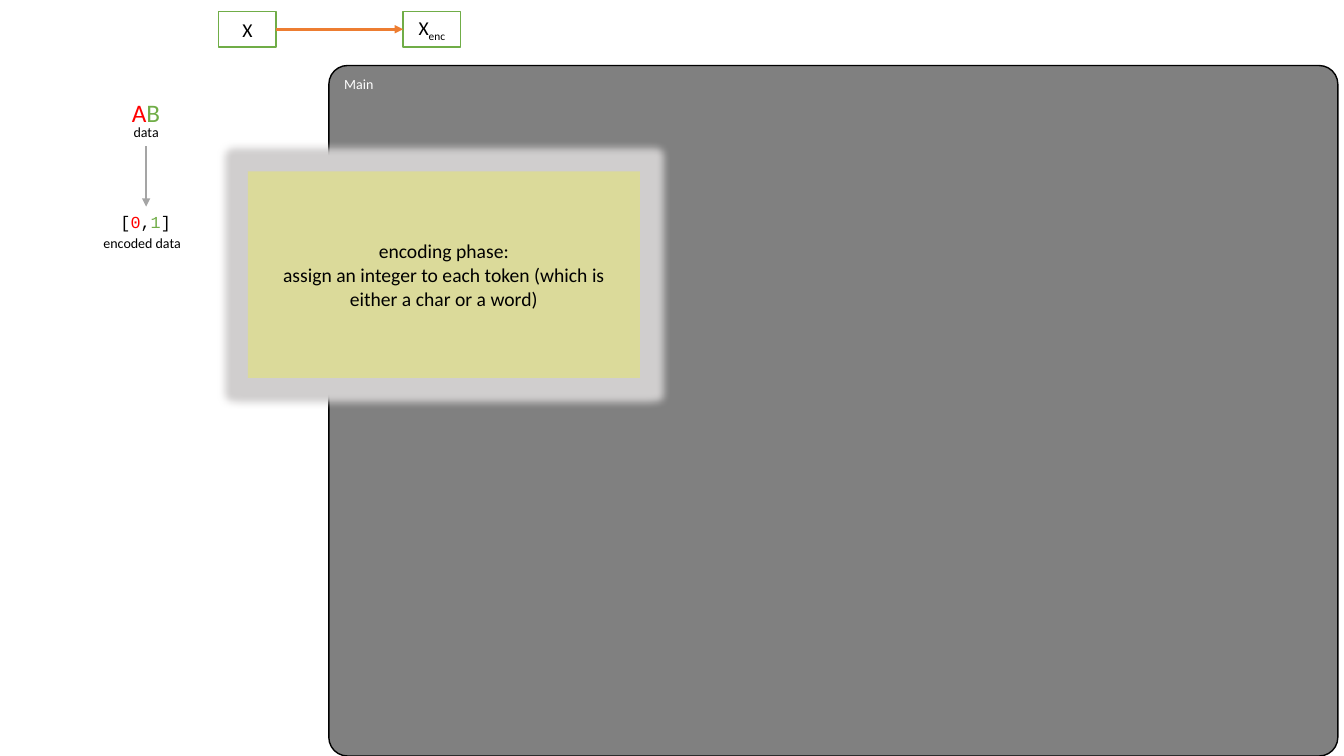
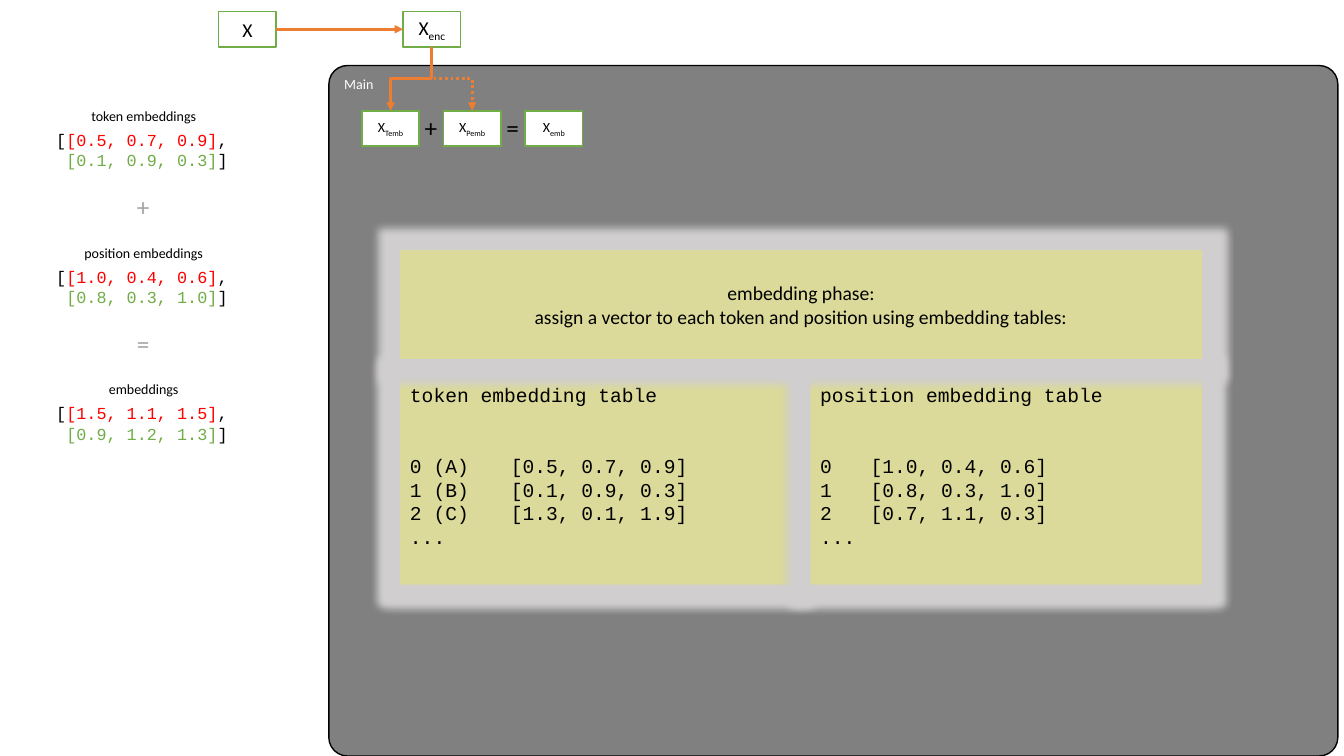
from lxml import etree
from pptx import Presentation
from pptx.dml.color import RGBColor
from pptx.enum.dml import MSO_LINE
from pptx.enum.shapes import MSO_CONNECTOR, MSO_SHAPE
from pptx.enum.text import MSO_ANCHOR, MSO_AUTO_SIZE, PP_ALIGN
from pptx.oxml.ns import qn
from pptx.util import Pt

# Content
DATA = [("A", "red"), ("B", "green")]
ENCODED = [("[", "black"), ("0", "red"), (",", "black"), ("1", "green"), ("]", "black")]
ENCODING_NOTE = ["encoding phase:",
                 "assign an integer to each token (which is either a char or a word)"]
EMBEDDING_NOTE = ["embedding phase:",
                  "assign a vector to each token and position using embedding tables:"]
# label, vector of A, vector of B, sign below
VECTORS = [
    ("token embeddings", "[0.5, 0.7, 0.9]", "[0.1, 0.9, 0.3]", "+"),
    ("position embeddings", "[1.0, 0.4, 0.6]", "[0.8, 0.3, 1.0]", "="),
    ("embeddings", "[1.5, 1.1, 1.5]", "[0.9, 1.2, 1.3]", None),
]
# subscript, sign to the right
FORMULA = [("Temb", "+"), ("Pemb", "="), ("emb", None)]
TABLES = [
    ["token embedding table", "0 (A)\t[0.5, 0.7, 0.9]", "1 (B)\t[0.1, 0.9, 0.3]",
     "2 (C)\t[1.3, 0.1, 1.9]", "..."],
    ["position embedding table", "0\t[1.0, 0.4, 0.6]", "1\t[0.8, 0.3, 1.0]",
     "2\t[0.7, 1.1, 0.3]", "..."],
]

# Shared style and geometry, in points
COLORS = {"black": "000000", "white": "FFFFFF", "red": "FF0000", "green": "70AD47",
          "gray": "A5A5A5", "panel": "808080", "orange": "ED7D31",
          "yellow": "FFFF00", "glow": "D0CECE"}
SANS, MONO = "Calibri", "Courier New"
CENTER, LEFT = PP_ALIGN.CENTER, PP_ALIGN.LEFT
BOX_W, BOX_H = 41, 25.2
X_LEFT, ENC_LEFT, TOP = 156.3, 288, 8.3
NOTE_W, NOTE_H = 280, 147.6


def rgb(name):
    return RGBColor.from_string(COLORS[name])


def add_runs(p, runs, size, font=SANS, align=LEFT):
    """Each run is (text, colour) or (text, colour, baseline)."""
    p.alignment = align
    for text, color, *baseline in runs:
        r = p.add_run()
        r.text = text
        r.font.size, r.font.name = Pt(size), font
        r.font.color.rgb = rgb(color)
        if baseline:
            r.font._element.set("baseline", str(baseline[0]))


def fill_text(tf, lines, size, font=SANS, align=LEFT):
    for i, runs in enumerate(lines):
        p = tf.add_paragraph() if i else tf.paragraphs[0]
        add_runs(p, runs, size, font, align)


def add_text(s, cx, y, w, h, lines, size, font=SANS, align=CENTER, wrap=False):
    """Text box centred on cx."""
    tf = s.shapes.add_textbox(Pt(cx - w / 2), Pt(y), Pt(w), Pt(h)).text_frame
    tf.word_wrap = wrap
    tf.auto_size = MSO_AUTO_SIZE.SHAPE_TO_FIT_TEXT
    fill_text(tf, lines, size, font, align)


def add_box(s, x, y, w, h, fill, line=None, kind=MSO_SHAPE.RECTANGLE):
    sp = s.shapes.add_shape(kind, Pt(x), Pt(y), Pt(w), Pt(h))
    sp.shadow.inherit = False
    sp.fill.solid()
    sp.fill.fore_color.rgb = rgb(fill)
    if line:
        sp.line.color.rgb = rgb(line)
        sp.line.width = Pt(1)
    else:
        sp.line.fill.background()
    return sp


def add_variable(s, x, y, size, sub=None):
    tf = add_box(s, x, y, BOX_W, BOX_H, "white", "green").text_frame
    tf.word_wrap = False
    tf.vertical_anchor = MSO_ANCHOR.MIDDLE
    runs = [("X", "black")] + ([(sub, "black", -25000)] if sub else [])
    add_runs(tf.paragraphs[0], runs, size, align=CENTER)


def add_note(s, x, y, w, h, lines, font=SANS, align=CENTER, anchor=MSO_ANCHOR.MIDDLE):
    """Translucent yellow box with a grey glow."""
    sp = add_box(s, x, y, w, h, "yellow")
    pr = sp._element.spPr
    color = pr.find(qn("a:solidFill")).find(qn("a:srgbClr"))
    etree.SubElement(color, qn("a:alpha"), val="25000")
    glow = etree.SubElement(pr.find(qn("a:effectLst")), qn("a:glow"), rad=str(Pt(11)))
    etree.SubElement(glow, qn("a:srgbClr"), val=COLORS["glow"])
    tf = sp.text_frame
    tf.word_wrap = True
    tf.vertical_anchor = anchor
    fill_text(tf, [[(line, "black")] for line in lines], 14, font, align)
    return tf


def add_arrow(s, x1, y1, x2, y2, color, width, kind=MSO_CONNECTOR.STRAIGHT):
    c = s.shapes.add_connector(kind, Pt(x1), Pt(y1), Pt(x2), Pt(y2))
    c.line.color.rgb = rgb(color)
    c.line.width = Pt(width)
    etree.SubElement(c.line._get_or_add_ln(), qn("a:tailEnd"), type="triangle")
    etree.SubElement(c._element.spPr, qn("a:effectLst"))
    return c


def add_branch(s, x1, y1, x2, y2):
    """Elbow arrow that leaves and arrives vertically."""
    cx, cy = (x1 + x2) / 2, (y1 + y2) / 2
    half_w, half_h = (y2 - y1) / 2, abs(x2 - x1) / 2
    side = 1 if x2 < x1 else -1
    c = add_arrow(s, cx - side * half_w, cy - half_h, cx + side * half_w, cy + half_h,
                  "orange", 2, MSO_CONNECTOR.ELBOW)
    angle = 90 if side > 0 else 270
    c._element.spPr.find(qn("a:xfrm")).set("rot", str(angle * 60000))
    return c


def add_base(prs):
    """Slide with the main panel and the encoding step on top."""
    s = prs.slides.add_slide(prs.slide_layouts[6])
    panel = add_box(s, 234.9, 46.8, 720.7, 493.2, "panel", "black",
                    MSO_SHAPE.ROUNDED_RECTANGLE)
    panel.adjustments[0] = 0.027
    panel.text_frame.vertical_anchor = MSO_ANCHOR.TOP
    add_runs(panel.text_frame.paragraphs[0], [("Main", "white")], 10)
    add_variable(s, ENC_LEFT, TOP, 14, "enc")
    add_variable(s, X_LEFT, TOP, 14)
    mid = TOP + BOX_H / 2
    add_arrow(s, X_LEFT + BOX_W, mid, ENC_LEFT, mid, "orange", 2)
    return s


def build_encoding(prs):
    s = add_base(prs)
    add_text(s, 104.4, 66.2, 34.6, 28.8, [DATA], 18, align=LEFT)
    add_text(s, 104.4, 85, 33.1, 19.4, [[("data", "black")]], 10)
    add_arrow(s, 104.4, 104.4, 104.4, 147.6, "gray", 1)
    add_text(s, 104, 147.6, 51.1, 21.6, [ENCODED], 12, MONO)
    add_text(s, 101.5, 164.2, 70.6, 19.4, [[("encoded data", "black")]], 10)
    add_note(s, 177.1, 122.4, NOTE_W, NOTE_H, ENCODING_NOTE)


def build_embedding(prs):
    s = add_base(prs)

    # Worked example on the left
    cx, pitch = 102.6, 97.6
    for i, (label, first, second, sign) in enumerate(VECTORS):
        y = 73.4 + i * pitch
        add_text(s, cx, y, 100, 19.4, [[(label, "black")]], 10)
        rows = [[("[", "black"), (first, "red"), (",", "black")],
                [(" ", "black"), (second, "green"), ("]", "black")]]
        add_text(s, cx, y + 15.8, 139, 36, rows, 12, MONO, LEFT)
        if sign:
            add_text(s, cx, y + 59.8, 23.8, 28.8, [[(sign, "gray")]], 18,
                     align=LEFT, wrap=True)

    # Sum of embeddings, fed by the encoded data
    left, top, step = 258.5, 79.2, 58.3
    for i, (sub, sign) in enumerate(FORMULA):
        x = left + i * step
        add_variable(s, x, top, 10, sub)
        if sign:
            add_text(s, x + (BOX_W + step) / 2, 77, 23.8, 28.8, [[(sign, "black")]], 18,
                     align=LEFT, wrap=True)
    for i in range(2):
        c = add_branch(s, ENC_LEFT + BOX_W / 2, TOP + BOX_H,
                       left + i * step + BOX_W / 2, top)
        if i:
            c.line.dash_style = MSO_LINE.ROUND_DOT

    # Embedding tables and the note above them
    left, gap = 285.8, 13
    for i, lines in enumerate(TABLES):
        tf = add_note(s, left + i * (NOTE_W + gap), 270, NOTE_W, NOTE_H, lines,
                      MONO, LEFT, MSO_ANCHOR.TOP)
        tf.paragraphs[1].space_before = Pt(34)
    add_note(s, left, 178.6, 2 * NOTE_W + gap, 77.8, EMBEDDING_NOTE)


def main():
    prs = Presentation()
    prs.slide_width, prs.slide_height = Pt(960), Pt(540)
    build_encoding(prs)
    build_embedding(prs)
    prs.save("out.pptx")


if __name__ == "__main__":
    main()
